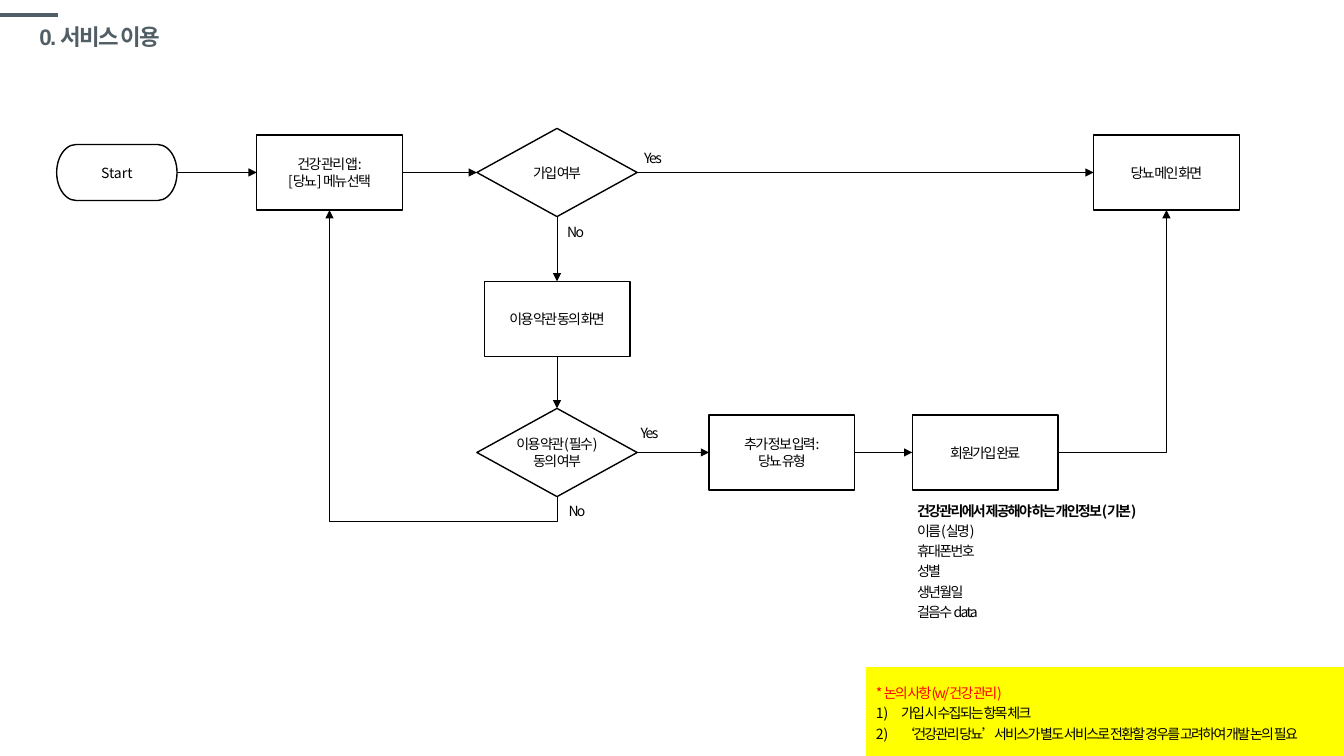
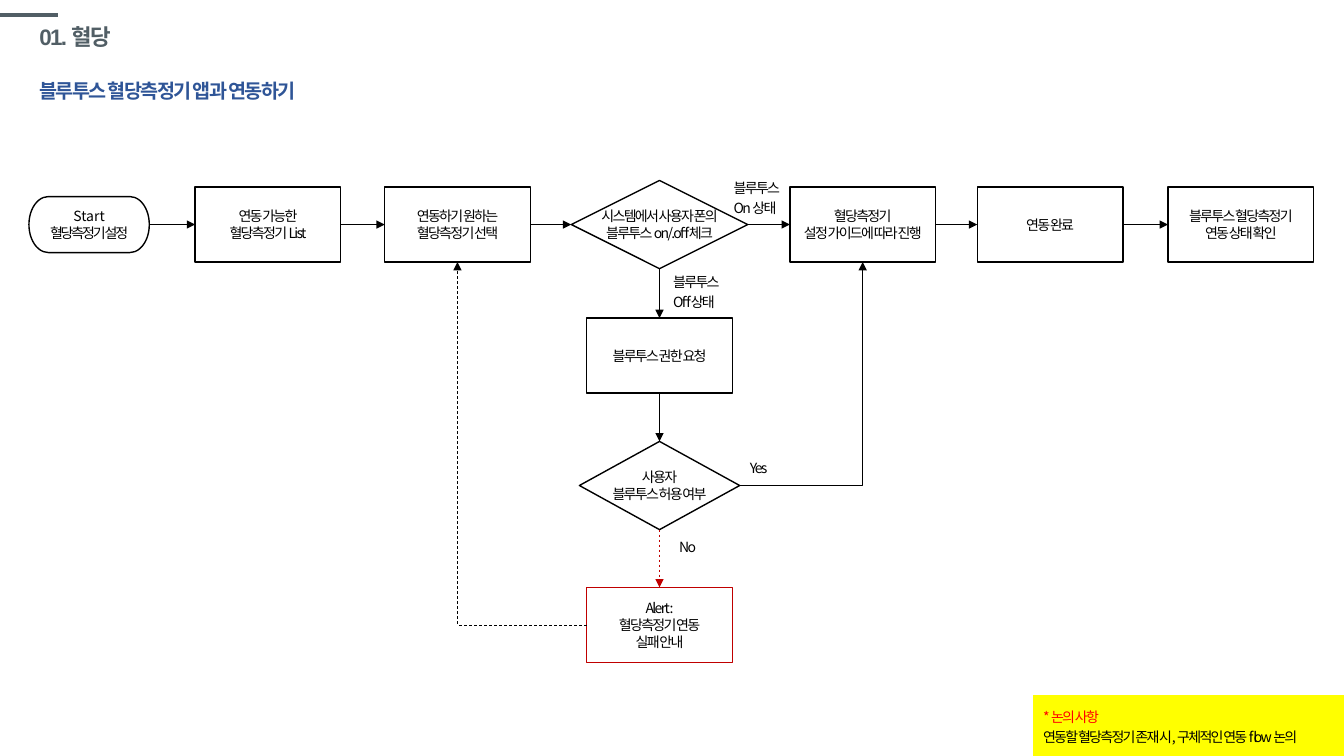
from dataclasses import dataclass

from lxml import etree
from pptx import Presentation
from pptx.dml.color import RGBColor
from pptx.enum.dml import MSO_LINE
from pptx.enum.shapes import MSO_CONNECTOR, MSO_SHAPE
from pptx.enum.text import MSO_ANCHOR, PP_ALIGN
from pptx.oxml.ns import qn
from pptx.util import Pt

START = MSO_SHAPE.FLOWCHART_TERMINATOR
PROCESS = MSO_SHAPE.FLOWCHART_PROCESS
DECISION = MSO_SHAPE.FLOWCHART_DECISION
RECTANGLE = MSO_SHAPE.RECTANGLE
STRAIGHT = MSO_CONNECTOR.STRAIGHT
ELBOW = MSO_CONNECTOR.ELBOW
DASH = MSO_LINE.DASH
MIDDLE = MSO_ANCHOR.MIDDLE
LEFT, CENTER = PP_ALIGN.LEFT, PP_ALIGN.CENTER
TOP_SIDE, LEFT_SIDE, BOTTOM_SIDE, RIGHT_SIDE = range(4)

COLORS = {
    "black": "000000",
    "white": "FFFFFF",
    "slate": "515E65",
    "blue": "2F5597",
    "red": "FF0000",
    "alert": "C00000",
    "yellow": "FFFF00",
}
BODY_FONT = "Noto Sans CJK KR"
TITLE_FONT = "Arial"
SLIDE_WIDTH, SLIDE_HEIGHT = 960, 540
NODE_SIZES = {START: (86, 40), PROCESS: (104, 53.6), DECISION: (114.5, 63)}
TITLE_ONLY_LAYOUT = 5


@dataclass
class Line:
    text: str
    color: str = "black"
    bold: bool = False
    spacing: float = -1.2
    numbered: bool = False


@dataclass
class Node:
    """A flow step, placed by its centre."""
    kind: MSO_SHAPE
    x: float
    y: float
    lines: list
    border: str = "black"
    width: float = 0


@dataclass
class Arrow:
    source: str
    source_side: int
    target: str
    target_side: int
    color: str = "black"
    dashed: bool = False
    bent: bool = False
    drop: float = 0  # depth of a loop below the source


@dataclass
class Label:
    left: float
    top: float
    lines: list
    width: float = 37.4
    height: float = 21


def rgb(name: str) -> RGBColor:
    return RGBColor.from_string(COLORS[name])


def write_text(frame, lines: list, size: float = 10, font: str = BODY_FONT,
               align=LEFT, line_spacing: float = 1.0, wrap: bool = True) -> None:
    frame.word_wrap = wrap
    for index, item in enumerate(lines):
        line = item if isinstance(item, Line) else Line(item)
        paragraph = frame.paragraphs[0] if index == 0 else frame.add_paragraph()
        if line.numbered:
            properties = paragraph._p.get_or_add_pPr()
            properties.set("marL", str(Pt(18)))
            properties.set("indent", str(-Pt(18)))
            numbering = etree.SubElement(properties, qn("a:buAutoNum"))
            numbering.set("type", "arabicParenR")
        paragraph.alignment = align
        paragraph.line_spacing = line_spacing
        run = paragraph.add_run()
        run.text = line.text
        run.font.size = Pt(size)
        run.font.name = font
        run.font.bold = line.bold
        run.font.color.rgb = rgb(line.color)
        run_properties = run._r.get_or_add_rPr()
        run_properties.set("spc", str(round(line.spacing * 100)))
        east_asian = etree.Element(qn("a:ea"), typeface=BODY_FONT)
        run_properties.find(qn("a:latin")).addnext(east_asian)


def style_connector(connector, color: str, width: float, dashed: bool = False,
                    arrowhead: bool = True) -> None:
    connector.line.color.rgb = rgb(color)
    connector.line.width = Pt(width)
    if dashed:
        connector.line.dash_style = DASH
    properties = connector._element.spPr
    if arrowhead:
        outline = properties.find(qn("a:ln"))
        etree.SubElement(outline, qn("a:tailEnd"), type="triangle")
    etree.SubElement(properties, qn("a:effectLst"))


def add_flow_slide(presentation, title: str):
    """Slide with the corner rule and the title shared by all slides."""
    slide = presentation.slides.add_slide(presentation.slide_layouts[TITLE_ONLY_LAYOUT])
    rule = slide.shapes.add_connector(STRAIGHT, 0, Pt(10.8), Pt(41.5), Pt(10.8))
    style_connector(rule, "slate", 3, arrowhead=False)
    shape = slide.shapes.title
    shape.left, shape.top, shape.width, shape.height = Pt(21), Pt(13.5), Pt(828), Pt(28)
    shape.text_frame.vertical_anchor = MIDDLE
    write_text(shape.text_frame, [Line(title, "slate", bold=True)], size=16,
               font=TITLE_FONT, line_spacing=0.9)
    return slide


def add_box(slide, kind, left: float, top: float, width: float, height: float, fill: str):
    shape = slide.shapes.add_shape(kind, Pt(left), Pt(top), Pt(width), Pt(height))
    shape.shadow.inherit = False
    shape.fill.solid()
    shape.fill.fore_color.rgb = rgb(fill)
    shape.text_frame.vertical_anchor = MIDDLE
    return shape


def add_node(slide, node: Node):
    width, height = NODE_SIZES[node.kind]
    width = node.width or width
    shape = add_box(slide, node.kind, node.x - width / 2, node.y - height / 2,
                    width, height, "white")
    shape.line.color.rgb = rgb(node.border)
    shape.line.width = Pt(1)
    write_text(shape.text_frame, node.lines, align=CENTER, wrap=False)
    return shape


def shape_loop(connector, drop: float) -> None:
    """Turn an elbow into a loop that leaves and enters from below."""
    left, top, width, height = connector.left, connector.top, connector.width, connector.height
    connector.left = left + (width - height) // 2
    connector.top = top + (height - width) // 2
    connector.width, connector.height = height, width
    transform = connector._element.spPr.xfrm
    transform.rot, transform.flipH, transform.flipV = 90, True, False
    adjustments = connector._element.spPr.find(qn("a:prstGeom")).find(qn("a:avLst"))
    ratio = round(-Pt(drop) / height * 100000)
    etree.SubElement(adjustments, qn("a:gd"), name="adj1", fmla=f"val {ratio}")


def add_arrow(slide, arrow: Arrow, shapes: dict) -> None:
    kind = ELBOW if arrow.bent or arrow.drop else STRAIGHT
    connector = slide.shapes.add_connector(kind, 0, 0, 0, 0)
    connector.begin_connect(shapes[arrow.source], arrow.source_side)
    connector.end_connect(shapes[arrow.target], arrow.target_side)
    if arrow.drop:
        shape_loop(connector, arrow.drop)
    elif arrow.bent:
        connector._element.spPr.find(qn("a:prstGeom")).set("prst", "bentConnector2")
    style_connector(connector, arrow.color, 0.5, arrow.dashed)


def add_label(slide, label: Label, **text_format) -> None:
    box = slide.shapes.add_textbox(Pt(label.left), Pt(label.top),
                                   Pt(label.width), Pt(label.height))
    write_text(box.text_frame, label.lines, **{"line_spacing": 1.2, **text_format})


def add_note(slide, width: float, height: float, lines: list) -> None:
    """Yellow discussion note in the bottom right corner."""
    note = add_box(slide, RECTANGLE, SLIDE_WIDTH - width, SLIDE_HEIGHT - height,
                   width, height, "yellow")
    note.line.fill.background()
    write_text(note.text_frame, lines, line_spacing=1.2)


def draw_flow(slide, nodes: dict, arrows: list, labels: list) -> None:
    shapes = {name: add_node(slide, node) for name, node in nodes.items()}
    for arrow in arrows:
        add_arrow(slide, arrow, shapes)
    for label in labels:
        add_label(slide, label)


def build_service_slide(presentation) -> None:
    slide = add_flow_slide(presentation, "0. 서비스 이용")
    first_row, second_row, decision_x = 123.2, 323.2, 397.9
    nodes = {
        "start": Node(START, 83.5, first_row, [Line("Start", spacing=0)]),
        "menu": Node(PROCESS, 235.4, first_row, ["건강 관리 앱:", "[당뇨] 메뉴 선택"]),
        "joined": Node(DECISION, decision_x, first_row, ["가입 여부"]),
        "main": Node(PROCESS, 833.2, first_row, ["당뇨 메인 화면"]),
        "terms": Node(PROCESS, decision_x, 227.8, ["이용 약관 동의 화면"]),
        "agreed": Node(DECISION, decision_x, second_row, ["이용 약관(필수)", "동의 여부"]),
        "details": Node(PROCESS, 558.5, second_row, ["추가 정보 입력:", "당뇨 유형"]),
        "done": Node(PROCESS, 703.7, second_row, ["회원가입 완료"]),
    }
    arrows = [
        *(Arrow(source, RIGHT_SIDE, target, LEFT_SIDE) for source, target in (
            ("start", "menu"), ("menu", "joined"), ("joined", "main"),
            ("agreed", "details"), ("details", "done"))),
        Arrow("joined", BOTTOM_SIDE, "terms", TOP_SIDE),
        Arrow("terms", BOTTOM_SIDE, "agreed", TOP_SIDE),
        Arrow("agreed", BOTTOM_SIDE, "menu", BOTTOM_SIDE, drop=18),
        Arrow("done", RIGHT_SIDE, "main", BOTTOM_SIDE, bent=True),
    ]
    personal_data = [
        Line("건강관리에서 제공해야 하는 개인정보(기본)", bold=True),
        "이름(실명)", "휴대폰번호", "성별", "생년월일", "걸음수 data",
    ]
    labels = [
        Label(398, 153.4, ["No"]),
        Label(453, 101, ["Yes"]),
        Label(450.5, 297.5, ["Yes"]),
        Label(399, 353, ["No"]),
        Label(648, 353, personal_data, width=204.5, height=94),
    ]
    draw_flow(slide, nodes, arrows, labels)
    add_note(slide, 341.5, 63.4, [
        Line("* 논의 사항(w/건강 관리)", "red"),
        Line("가입 시 수집되는 항목 체크", numbered=True),
        Line("‘건강관리 당뇨’서비스가 별도 서비스로 전환할 경우를 고려하여 개발 논의 필요",
             numbered=True),
    ])


def build_glucose_slide(presentation) -> None:
    slide = add_flow_slide(presentation, "01. 혈당")
    heading = Line("블루투스 혈당측정기 앱과 연동하기", "blue", bold=True)
    add_label(slide, Label(21, 44.6, [heading], width=342.5, height=32.5),
              size=14, line_spacing=1.5)
    row, check_x = 160.4, 471.1
    nodes = {
        "start": Node(START, 63.7, row, [Line("Start", spacing=0),
                                         Line("혈당측정기 설정", spacing=-1.5)]),
        "list": Node(PROCESS, 191.4, row, ["연동 가능한", "혈당측정기 List"]),
        "select": Node(PROCESS, 326.8, row, ["연동하기 원하는", "혈당측정기 선택"]),
        "check": Node(DECISION, check_x, row,
                      ["시스템에서 사용자 폰의", "블루투스 on/.off 체크"], width=126),
        "guide": Node(PROCESS, 616.2, row, ["혈당측정기", "설정 가이드에 따라 진행"]),
        "linked": Node(PROCESS, 750.1, row, ["연동 완료"]),
        "status": Node(PROCESS, 886.3, row, ["블루투스 혈당측정기", "연동 상태 확인"]),
        "request": Node(PROCESS, check_x, 254, ["블루투스 권한 요청"]),
        "allowed": Node(DECISION, check_x, 346.8, ["사용자", "블루투스 허용 여부"]),
        "alert": Node(PROCESS, check_x, 446.4,
                      ["Alert :", "혈당측정기 연동", "실패 안내"], border="alert"),
    }
    main_path = ["start", "list", "select", "check", "guide", "linked", "status"]
    arrows = [
        *(Arrow(source, RIGHT_SIDE, target, LEFT_SIDE)
          for source, target in zip(main_path, main_path[1:])),
        Arrow("check", BOTTOM_SIDE, "request", TOP_SIDE),
        Arrow("request", BOTTOM_SIDE, "allowed", TOP_SIDE),
        Arrow("allowed", BOTTOM_SIDE, "alert", TOP_SIDE, color="alert", dashed=True),
        Arrow("allowed", RIGHT_SIDE, "guide", BOTTOM_SIDE, bent=True),
        Arrow("alert", LEFT_SIDE, "select", BOTTOM_SIDE, dashed=True, bent=True),
    ]
    labels = [
        Label(473.8, 189.4, ["블루투스", "Off 상태"], width=52, height=36),
        Label(517, 122.4, ["블루투스", "On 상태"], width=55.5, height=36),
        Label(528.5, 322.6, ["Yes"]),
        Label(478, 378.7, ["No"]),
    ]
    draw_flow(slide, nodes, arrows, labels)
    add_note(slide, 222, 43.4, [
        Line("* 논의 사항", "red"),
        "연동할 혈당측정기 존재 시, 구체적인 연동 flow 논의",
    ])


def main() -> None:
    presentation = Presentation()
    presentation.slide_width, presentation.slide_height = Pt(SLIDE_WIDTH), Pt(SLIDE_HEIGHT)
    build_service_slide(presentation)
    build_glucose_slide(presentation)
    presentation.save("out.pptx")


if __name__ == "__main__":
    main()
